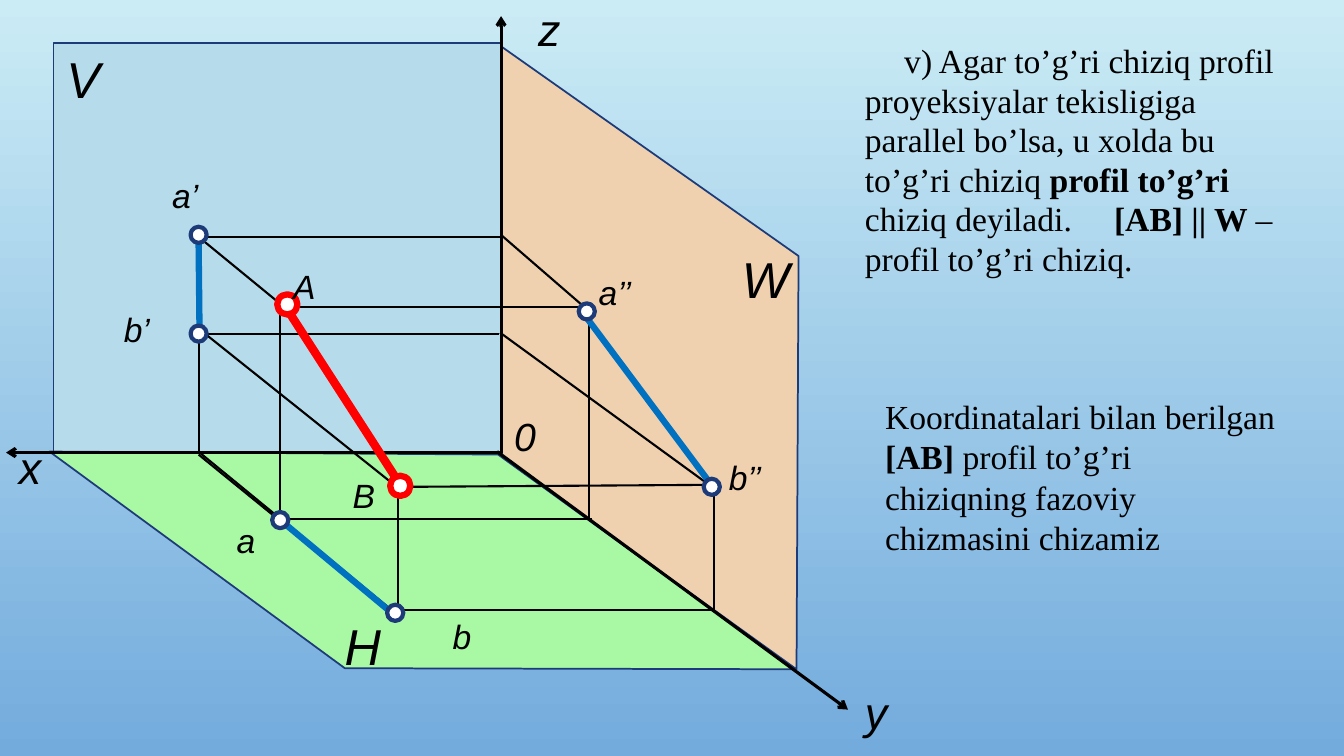
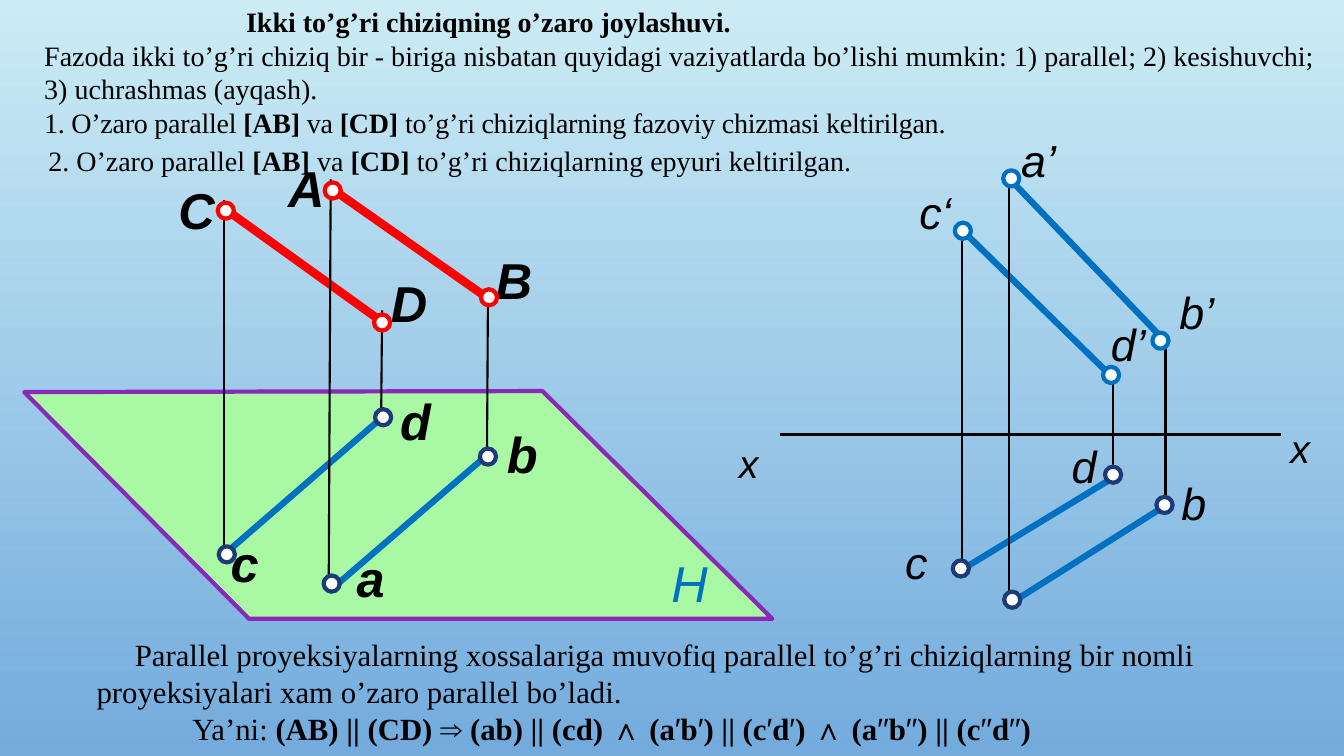
from dataclasses import dataclass
from itertools import groupby

from lxml import etree
from pptx import Presentation
from pptx.dml.color import RGBColor
from pptx.enum.shapes import MSO_CONNECTOR, MSO_SHAPE
from pptx.enum.text import MSO_ANCHOR, MSO_AUTO_SIZE, PP_ALIGN
from pptx.oxml.ns import qn
from pptx.util import Cm, Pt

LINE = MSO_CONNECTOR.STRAIGHT
RECT = MSO_SHAPE.RECTANGLE
OVAL = MSO_SHAPE.OVAL
LEFT = PP_ALIGN.LEFT
TOP = MSO_ANCHOR.TOP
MIDDLE = MSO_ANCHOR.MIDDLE
FIXED = MSO_AUTO_SIZE.NONE
TITLE_ONLY, BLANK = 5, 6
SIGNS = "⇒∧′"
GAP = "~"


@dataclass(frozen=True)
class Theme:
    black: str = "000000"
    white: str = "FFFFFF"
    red: str = "FF0000"
    blue: str = "0070C0"
    navy: str = "1D3A79"
    violet: str = "8A28B8"
    green: str = "A8F8A4"
    sky: str = "B6DCEC"
    peach: str = "EFD1AF"
    light: str = "CBECF5"
    deep: str = "73ABDD"
    serif: str = "Times New Roman"
    sans: str = "Arial"
    head: int = 20
    note: int = 22
    body: int = 24
    small: int = 24
    mid: int = 28
    large: int = 32
    huge: int = 36
    thin: float = 1.5
    axis: float = 2.25
    trace: float = 4.5
    bold: float = 6
    edge: float = 1.25
    rim: float = 3


def size(inch):
    return Cm(inch * 2.54)


def box(*values):
    return [size(v) for v in values]


def put(target, values):
    for name, value in values.items():
        setattr(target, name, value)


class Deck:
    def __init__(self, theme):
        self.theme = theme
        self.prs = Presentation()
        put(self.prs, {"slide_width": size(13.33), "slide_height": size(7.5)})
        fill = self.prs.slide_master.background.fill
        fill.gradient()
        fill.gradient_angle = 270
        for stop, tone in zip(fill.gradient_stops, (theme.light, theme.deep)):
            stop.color.rgb = RGBColor.from_string(tone)
        self.slide = None

    def page(self, layout):
        self.slide = self.prs.slides.add_slide(self.prs.slide_layouts[layout])

    def paint(self, shape, fill, line, width):
        shape.shadow.inherit = False
        shape.fill.solid()
        shape.fill.fore_color.rgb = RGBColor.from_string(fill)
        shape.line.color.rgb = RGBColor.from_string(line)
        shape.line.width = Pt(width)

    def plane(self, points, fill, line, width):
        spots = [tuple(box(*p)) for p in points]
        form = self.slide.shapes.build_freeform(*spots[0], scale=1.0)
        form.add_line_segments(spots[1:], close=True)
        self.paint(form.convert_to_shape(), fill, line, width)

    def rect(self, place, fill, line, width):
        shape = self.slide.shapes.add_shape(RECT, *box(*place))
        self.paint(shape, fill, line, width)

    def rings(self, points, line, width=None, wide=0.16):
        for x, y in points:
            place = box(x - wide / 2, y - wide / 2, wide, wide)
            shape = self.slide.shapes.add_shape(OVAL, *place)
            self.paint(shape, self.theme.white, line, width or self.theme.rim)

    def lines(self, spans, tone, width, arrow=False):
        for span in spans:
            link = self.slide.shapes.add_connector(LINE, *box(*span))
            link.line.color.rgb = RGBColor.from_string(tone)
            link.line.width = Pt(width)
            props = link._element.spPr
            if arrow:
                stroke = props.find(qn("a:ln"))
                etree.SubElement(stroke, qn("a:tailEnd")).set("type", "arrow")
            etree.SubElement(props, qn("a:effectLst"))

    def words(self, para, text, points, face, tone=None, space=0, **style):
        run = para.add_run()
        run.text = text
        put(run.font, {"name": face, "size": Pt(points), **style})
        run.font.color.rgb = RGBColor.from_string(tone or self.theme.black)
        if space:
            run._r.get_or_add_rPr().set("spc", str(round(space * 100)))

    def frame(self, place):
        frame = self.slide.shapes.add_textbox(*box(*place)).text_frame
        put(frame, {"word_wrap": True, "auto_size": FIXED,
                    "vertical_anchor": TOP})
        return frame

    def labels(self, items, points, tone=None, bold=False):
        for x, y, text in items:
            frame = self.frame((x, y, 0.9, points / 60 + 0.1))
            self.words(frame.paragraphs[0], text, points, self.theme.sans,
                       tone, bold=bold, italic=True)

    def title(self, text, place):
        shape = self.slide.shapes.title
        put(shape, dict(zip(("left", "top", "width", "height"), box(*place))))
        put(shape.text_frame, {"word_wrap": True, "auto_size": FIXED,
                               "vertical_anchor": MIDDLE})
        para = shape.text_frame.paragraphs[0]
        para.alignment = LEFT
        self.words(para, text, self.theme.head, self.theme.serif, bold=True)

    def marked(self, para, text, points, space):
        theme = self.theme
        for turn, part in enumerate(text.split("*")):
            strong = turn % 2 == 1
            for kind, group in groupby(
                    part, lambda c: c if c == GAP else c in SIGNS):
                piece = "".join(group)
                if kind == GAP:
                    self.words(para, " ", points, theme.serif, space=points)
                elif kind:
                    self.words(para, piece, points, theme.sans, bold=False)
                else:
                    self.words(para, piece, points, theme.serif,
                               space=space, bold=strong)

    def prose(self, place, points, paras):
        frame = self.frame(place)
        for rank, (text, left, first, space, style) in enumerate(paras):
            para = frame.add_paragraph() if rank else frame.paragraphs[0]
            props = para._p.get_or_add_pPr()
            props.set("marL", str(size(left)))
            props.set("indent", str(size(first)))
            put(para, style)
            self.marked(para, text, points, space)


def profile(deck):
    t = deck.theme
    deck.page(BLANK)
    deck.plane([(4.97, 0.46), (7.92, 2.54), (7.9, 6.64), (4.98, 4.54)],
               t.peach, t.navy, t.edge)
    deck.rect((0.53, 0.43, 4.45, 4.08), t.sky, t.navy, t.edge)
    deck.plane([(0.49, 4.48), (4.94, 4.51), (7.88, 6.64), (3.42, 6.63)],
               t.green, t.navy, t.edge)
    deck.lines([
        (5.82, 3.05, 2.77, 3.05), (1.97, 4.5, 1.97, 2.41),
        (2.86, 3.08, 1.97, 2.35), (4.01, 4.83, 7.04, 4.81),
        (7.08, 6.06, 7.08, 4.92), (5, 2.35, 1.9, 2.35),
        (3.95, 6.1, 3.95, 4.8), (7.08, 6.05, 3.97, 6.05),
        (2.83, 5.21, 1.97, 4.51), (4.98, 2.34, 5.8, 3.05),
        (2.78, 5.15, 2.78, 3.06), (5.87, 5.15, 2.84, 5.15),
        (5.84, 5.14, 5.84, 3.11), (3.91, 4.81, 1.97, 3.26),
        (4.95, 3.31, 1.98, 3.31), (4.96, 3.3, 7.06, 4.83),
        (3.98, 6.13, 1.98, 4.49),
    ], t.black, t.thin)
    deck.lines([(4.98, 4.49, 0.06, 4.49), (4.93, 4.48, 8.41, 7.04),
                (4.97, 4.49, 4.97, 0.16)], t.black, t.axis, arrow=True)
    deck.lines([(7.1, 4.87, 5.78, 3.1), (1.98, 3.38, 1.97, 2.4),
                (2.77, 5.15, 3.91, 6.1)], t.blue, t.trace)
    deck.lines([(2.83, 3.04, 3.99, 4.84)], t.red, t.bold)
    deck.rings([(1.97, 2.33), (5.82, 3.09), (1.97, 3.31), (7.06, 4.83),
                (2.78, 5.16), (3.92, 6.08)], t.navy)
    deck.rings([(2.85, 3.02), (3.97, 4.82)], t.red, t.trace, 0.2)
    deck.labels([(1.13, 3.02, "b’"), (7.13, 4.48, "b’’"), (2.25, 5.11, "a"),
                 (4.39, 6.06, "b"), (3.4, 4.66, "B"), (1.61, 1.69, "a’"),
                 (5.84, 2.65, "a’’"), (2.81, 2.59, "A")], t.small)
    deck.labels([(5, 4.04, "0")], t.mid)
    deck.labels([(0.09, 4.31, "x"), (8.48, 6.74, "y"), (5.24, -0.03, "z")],
                t.large)
    deck.labels([(0.56, 0.43, "V"), (7.26, 2.41, "W"), (3.32, 6.05, "H")],
                t.huge)
    deck.prose((8.18, 0.37, 4.7, 2.48), t.body, [
        ("v) Agar to’g’ri chiziq profil proyeksiyalar tekisligiga parallel "
         "bo’lsa, u xolda bu to’g’ri chiziq *profil to’g’ri *chiziq "
         "deyiladi.~*[AB] || W *– profil to’g’ri chiziq.",
         0.3, 0.39, 0, {"line_spacing": 0.98, "space_before": Pt(0.2)})])
    deck.prose((8.68, 3.88, 4.13, 1.72), t.body, [
        ("Koordinatalari bilan berilgan *[AB] *profil to’g’ri chiziqning "
         "fazoviy chizmasini chizamiz", 0, 0, 0, {})])


def pairs(deck):
    t = deck.theme
    deck.page(TITLE_ONLY)
    deck.title("Ikki to’g’ri chiziqning o’zaro joylashuvi.",
               (2.34, 0, 7, 0.42))
    deck.prose((0.24, 0.33, 12.95, 1.48), t.head, [
        ("Fazoda ikki to’g’ri chiziq bir - biriga nisbatan quyidagi "
         "vaziyatlarda bo’lishi mumkin: 1) parallel; 2) kesishuvchi; "
         "3) uchrashmas (ayqash).", 0.1, 0, 0, {}),
        ("1. O’zaro parallel *[AB] *va *[CD] *to’g’ri chiziqlarning fazoviy "
         "chizmasi keltirilgan.", 0.1, 0, -0.2, {}),
        ("2. O’zaro parallel *[AB] *va *[CD] *to’g’ri chiziqlarning epyuri "
         "keltirilgan.", 0.14, 0, 0,
         {"line_spacing": 0.98, "space_before": Pt(4)})])
    near = {"space_before": Pt(0.1)}
    deck.prose((0.56, 6.26, 12.4, 1.21), t.note, [
        ("Parallel proyeksiyalarning xossalariga muvofiq parallel to’g’ri "
         "chiziqlarning bir nomli proyeksiyalari xam o’zaro parallel "
         "bo’ladi.", 0.3, 0.38, 0, near),
        ("Ya’ni: *(AB) || (CD) ⇒ (ab) || (cd) ∧ (a′b′) || (c′d′) ∧ "
         "(a′′b′′) || (c′′d′′)*", 1.25, 0, 0, near)])
    deck.plane([(0.24, 3.89), (5.38, 3.88), (7.66, 6.14), (2.47, 6.14)],
               t.green, t.violet, t.rim)
    deck.lines([(2.19, 5.53, 3.78, 4.15), (3.26, 5.87, 4.86, 4.49),
                (9.54, 2.28, 11.06, 3.77), (10.01, 1.77, 11.56, 3.39),
                (10, 6, 11.6, 4.99), (9.51, 5.67, 11.04, 4.74)],
               t.blue, t.trace)
    deck.lines([(3.8, 3.2, 2.2, 2.05), (4.84, 2.96, 3.26, 1.85)],
               t.red, t.bold)
    deck.lines([(2.22, 5.47, 2.22, 1.98), (3.26, 5.85, 3.28, 1.78),
                (3.78, 4.17, 3.79, 3.08), (4.83, 4.53, 4.84, 2.88),
                (9.54, 5.67, 9.54, 2.29), (11.56, 5, 11.56, 3.35),
                (10.01, 6, 10.01, 1.77), (11.04, 4.74, 11.04, 3.8)],
               t.black, t.thin)
    deck.lines([(7.74, 4.31, 12.71, 4.31)], t.black, t.axis)
    deck.labels([(4.93, 4.15, "b"), (1.67, 1.73, "С"), (2.19, 5.23, "c"),
                 (4.82, 2.42, "B"), (2.76, 1.51, "A"), (3.78, 2.65, "D"),
                 (3.87, 3.82, "d"), (3.44, 5.38, "a")], t.huge, bold=True)
    deck.labels([(6.56, 5.43, "H")], t.huge, t.blue)
    deck.labels([(11.6, 2.78, "b’"), (10.03, 1.27, "a’"), (11.62, 4.67, "b"),
                 (8.88, 5.26, "с"), (9.02, 1.78, "c‘"), (10.53, 4.3, "d"),
                 (10.92, 3.09, "d’")], t.large)
    deck.labels([(12.7, 4.16, "x"), (7.23, 4.31, "x")], t.mid)
    deck.rings([(2.24, 2.09), (3.79, 3.2), (3.3, 1.89), (4.85, 2.95)], t.red)
    deck.rings([(9.55, 2.29), (11.02, 3.72), (10.03, 1.77), (11.51, 3.38)],
               t.blue)
    deck.rings([(2.25, 5.5), (3.29, 5.79), (3.8, 4.14), (4.84, 4.53),
                (10.04, 5.95), (9.53, 5.64), (11.04, 4.71), (11.55, 5.01)],
               t.navy)


def main():
    deck = Deck(Theme())
    profile(deck)
    pairs(deck)
    deck.prs.save("out.pptx")


if __name__ == "__main__":
    main()
